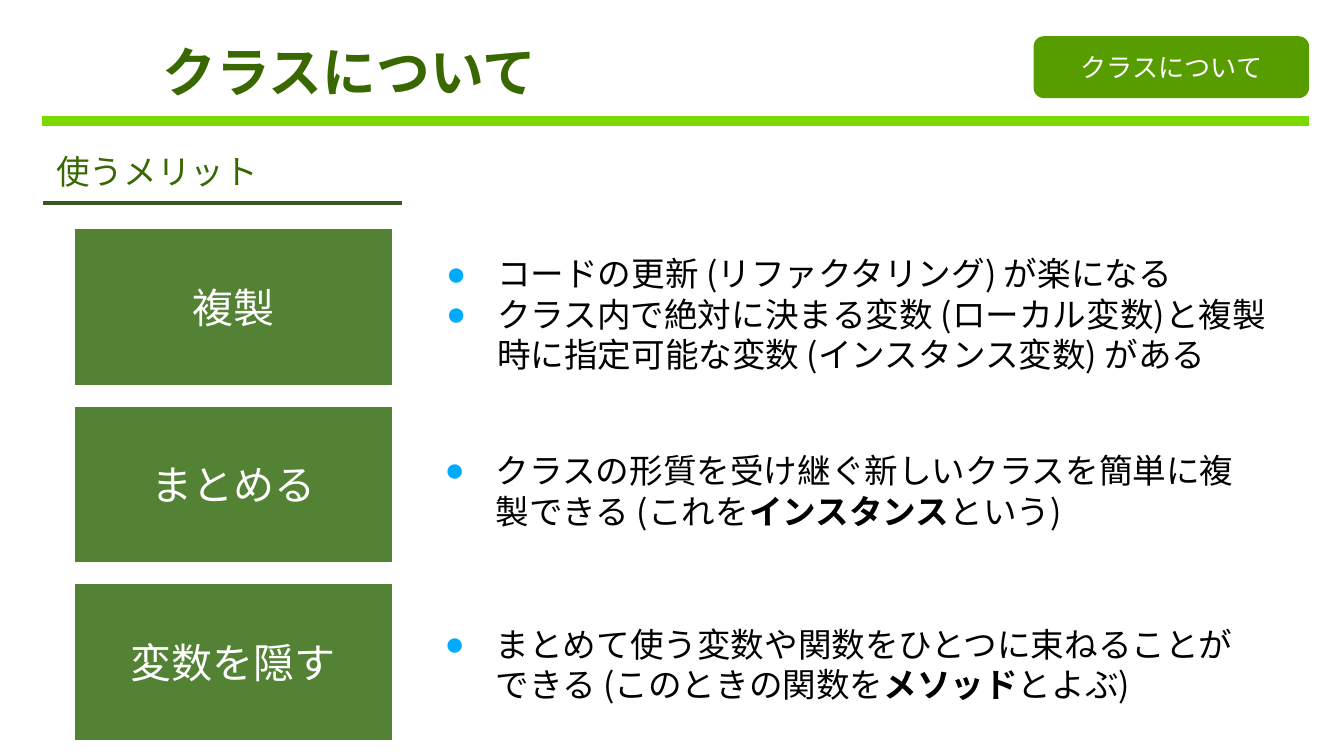
from lxml import etree
from pptx import Presentation
from pptx.dml.color import RGBColor
from pptx.enum import shapes, text
from pptx.oxml.ns import qn
from pptx.util import Inches, Pt

FONT = "Noto Sans CJK JP"
BULLET_FONT = "Arial"
WHITE = RGBColor(0xFF, 0xFF, 0xFF)
BLACK = RGBColor(0, 0, 0)
LIME = RGBColor(0x7A, 0xDA, 0x00)
DARK_GREEN = RGBColor(0x3A, 0x68, 0x00)
RULE_GREEN = RGBColor(0x38, 0x57, 0x23)
CARD_GREEN = RGBColor(0x54, 0x82, 0x35)
TAG_GREEN = RGBColor(0x58, 0x9D, 0x00)
BULLET_BLUE = RGBColor(0x00, 0xAB, 0xFF)

CARD_TOP, CARD_STEP = 1.7, 1.32

# Each merit: card label, place of its explanation, paragraphs of (words, bold) spans
MERITS = [
    ("複製", (3.1, 1.71, 6.48, 1.25), [
        [("コードの更新 (リファクタリング) が楽になる", False)],
        [("クラス内で絶対に決まる変数 (ローカル変数)と複製時に指定可能な変数 "
          "(インスタンス変数) がある", False)],
    ]),
    ("まとめる", (3.09, 3.2, 6.36, 0.9), [
        [("クラスの形質を受け継ぐ新しいクラスを簡単に複製できる (これを", False),
         ("インスタンス", True), ("という)", False)],
    ]),
    ("変数を隠す", (3.09, 4.49, 6.36, 0.9), [
        [("まとめて使う変数や関数をひとつに束ねることができる (このときの関数を", False),
         ("メソッド", True), ("とよぶ)", False)],
    ]),
]


def add_span(para, words, size, color, bold=False):
    span = para.add_run()
    span.text = words
    font = span.font
    font.size, font.bold, font.name = Pt(size), bold, FONT
    font.color.rgb = color
    etree.SubElement(font._element, qn("a:ea"), typeface=FONT)


def set_frame(shape, inset=0.1):
    """Wrap and middle-anchor the text; inset is the top and bottom margin."""
    frame = shape.text_frame
    frame.word_wrap = True
    frame.vertical_anchor = text.MSO_ANCHOR.MIDDLE
    frame.margin_left = frame.margin_right = Inches(0.1)
    frame.margin_top = frame.margin_bottom = Inches(inset)
    return frame


def add_label(page, place, words, size, color, bold=False, inset=0.1):
    box = page.shapes.add_textbox(*map(Inches, place))
    para = set_frame(box, inset).paragraphs[0]
    add_span(para, words, size, color, bold)
    return para


def add_panel(page, kind, place, fill, words, size, outline=None, inset=0.1):
    panel = page.shapes.add_shape(kind, *map(Inches, place))
    panel.shadow.inherit = False
    panel.fill.solid()
    panel.fill.fore_color.rgb = fill
    if outline is None:
        panel.line.fill.background()
    else:
        panel.line.color.rgb = outline
        panel.line.width = Pt(0.75)
    para = set_frame(panel, inset).paragraphs[0]
    para.alignment = text.PP_ALIGN.CENTER
    add_span(para, words, size, WHITE)


def add_rule(page, left, right, y, color, width):
    rule = page.shapes.add_connector(
        shapes.MSO_CONNECTOR.STRAIGHT, *map(Inches, (left, y, right, y)))
    rule.line.color.rgb = color
    rule.line.width = Pt(width)
    etree.SubElement(rule._element.spPr, qn("a:effectLst"))


def set_bullet(para):
    props = para._p.get_or_add_pPr()
    props.set("marL", str(Inches(0.5)))
    props.set("indent", str(Inches(-0.38)))
    color = etree.SubElement(props, qn("a:buClr"))
    etree.SubElement(color, qn("a:srgbClr"), val=str(BULLET_BLUE))
    etree.SubElement(props, qn("a:buFont"), typeface=BULLET_FONT)
    etree.SubElement(props, qn("a:buChar"), char="●")


def add_bullets(page, place, items):
    box = page.shapes.add_textbox(*map(Inches, place))
    frame = set_frame(box)
    for index, spans in enumerate(items):
        para = frame.add_paragraph() if index else frame.paragraphs[0]
        set_bullet(para)
        for words, bold in spans:
            add_span(para, words, 18, BLACK, bold)


def main():
    deck = Presentation()
    deck.slide_width = Inches(10)
    deck.slide_height = deck.slide_width * 9 // 16
    page = deck.slides.add_slide(deck.slide_layouts[6])

    add_rule(page, 0.31, 9.74, 0.9, LIME, 5)
    title = add_label(page, (1.11, 0.27, 8.62, 0.57), "クラスについて", 28.8,
                      DARK_GREEN, bold=True, inset=0.05)
    title.line_spacing = 0.9
    add_label(page, (0.32, 1.1, 3.19, 0.35), "使うメリット", 18, DARK_GREEN)
    add_rule(page, 0.32, 2.99, 1.51, RULE_GREEN, 2.25)

    for row, (label, place, items) in enumerate(MERITS):
        add_bullets(page, place, items)
        card = (0.55, CARD_TOP + row * CARD_STEP, 2.37, 1.17)
        add_panel(page, shapes.MSO_SHAPE.RECTANGLE, card, CARD_GREEN, label, 22,
                  outline=WHITE)

    add_panel(page, shapes.MSO_SHAPE.ROUNDED_RECTANGLE, (7.69, 0.27, 2.05, 0.46),
              TAG_GREEN, "クラスについて", 14, inset=0.05)
    deck.save("out.pptx")


if __name__ == "__main__":
    main()
